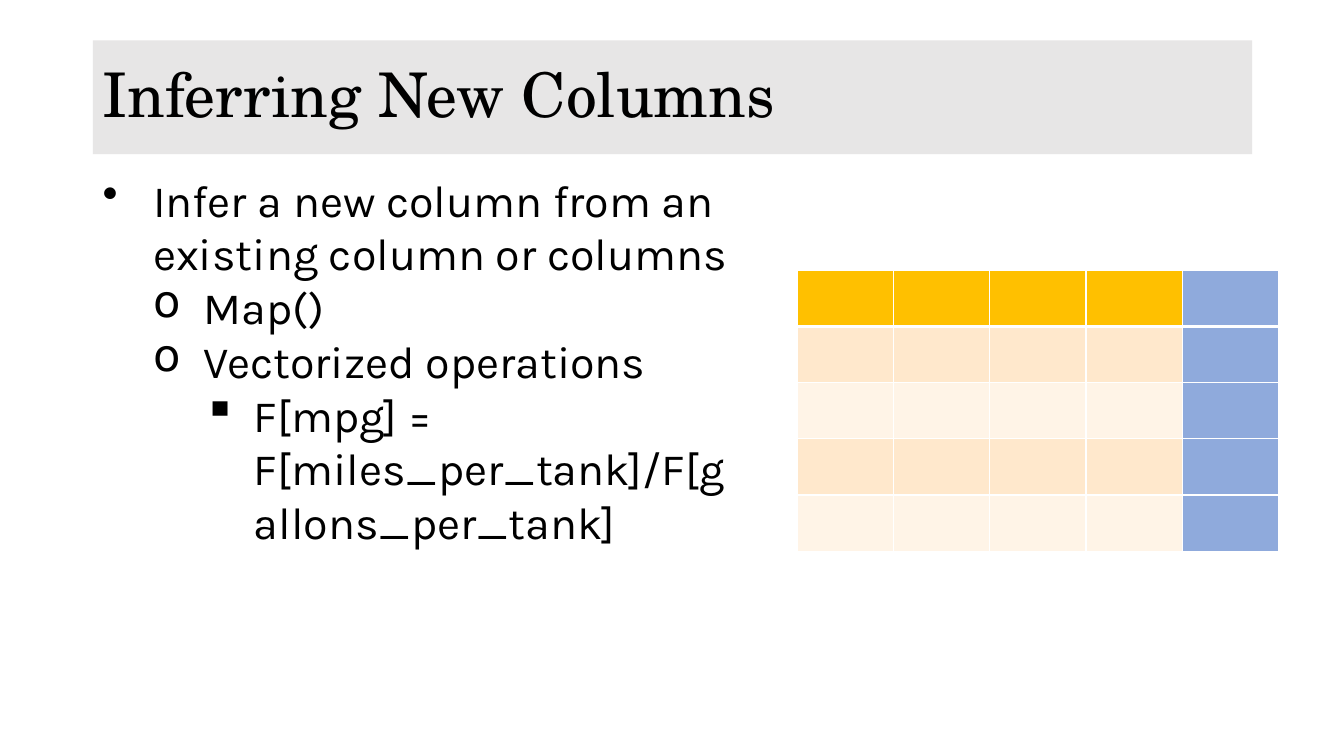
import pptx
import pptx.util
import pptx.dml.color
import pptx.enum.text
import pptx.oxml.ns
import lxml.etree

Inches = pptx.util.Inches
Pt = pptx.util.Pt


def color(value):
    return pptx.dml.color.RGBColor.from_string(value)


def add_element(parent, tag, **attributes):
    return lxml.etree.SubElement(parent, pptx.oxml.ns.qn(tag), attributes)


deck = pptx.Presentation()
deck.slide_width = Inches(13.33)
deck.slide_height = Inches(7.5)
slide = deck.slides.add_slide(deck.slide_layouts[5])
left_margin = Inches(0.92)

title = slide.shapes.title
title_place = {"left": left_margin, "top": Inches(0.4), "width": Inches(11.5), "height": Inches(1.13)}
for name, value in title_place.items():
    setattr(title, name, value)
title.fill.solid()
title.fill.fore_color.rgb = color("E7E6E6")
title.text_frame.text = "Inferring New Columns"
title.text_frame.auto_size = pptx.enum.text.MSO_AUTO_SIZE.NONE
title.text_frame.vertical_anchor = pptx.enum.text.MSO_ANCHOR.MIDDLE
para = title.text_frame.paragraphs[0]
para.alignment = pptx.enum.text.PP_ALIGN.LEFT
para.line_spacing = 0.9
span = para.runs[0]
for name, value in {"name": "TeX Gyre Schola", "size": Pt(44)}.items():
    setattr(span.font, name, value)
span.font.color.rgb = color("000000")

points = [
    (0, "Infer a new column from an existing column or columns"),
    (1, "Map()"),
    (1, "Vectorized operations"),
    (2, "F[mpg] = F[miles_per_tank]/F[gallons_per_tank]"),
]
bullets = ["•", "o", "▪"]
indent = Inches(0.5)

box = slide.shapes.add_textbox(left_margin, Inches(1.66), Inches(6.47), Inches(3.87))
frame = box.text_frame
frame.word_wrap = True
frame.auto_size = pptx.enum.text.MSO_AUTO_SIZE.SHAPE_TO_FIT_TEXT
for index, (level, text) in enumerate(points):
    para = frame.add_paragraph() if index else frame.paragraphs[0]
    para.level = level
    properties = para._p.get_or_add_pPr()
    properties.set("marL", str(indent * (level + 1)))
    properties.set("indent", str(-indent))
    add_element(properties, "a:buChar", char=bullets[level])
    span = para.add_run()
    span.text = text
    for name, value in {"name": "Karla", "size": Pt(32)}.items():
        setattr(span.font, name, value)
    span.font.color.rgb = color("000000")

row_count = column_count = 5
grid_width, grid_height = Inches(4.77), Inches(2.79)
table = slide.shapes.add_table(
    row_count, column_count, Inches(7.91), Inches(2.68), grid_width, grid_height
).table
row_fills = ["FFC000", "FFE8CC", "FFF4E7", "FFE8CC", "FFF4E7"]
new_column_fill = "8FAADC"

for row in range(row_count):
    for column in range(column_count):
        cell = table.cell(row, column)
        properties = cell._tc.get_or_add_tcPr()
        border_widths = {
            "a:lnL": 1,
            "a:lnR": 1,
            "a:lnT": 3 if row == 1 else 1,
            "a:lnB": 3 if row == 0 else 1,
        }
        for side, width in border_widths.items():
            border = add_element(properties, side, w=str(Pt(width)))
            border_fill = add_element(border, "a:solidFill")
            add_element(border_fill, "a:srgbClr", val="FFFFFF")
        cell.fill.solid()
        is_new = column == column_count - 1
        cell.fill.fore_color.rgb = color(new_column_fill if is_new else row_fills[row])

deck.save("out.pptx")
